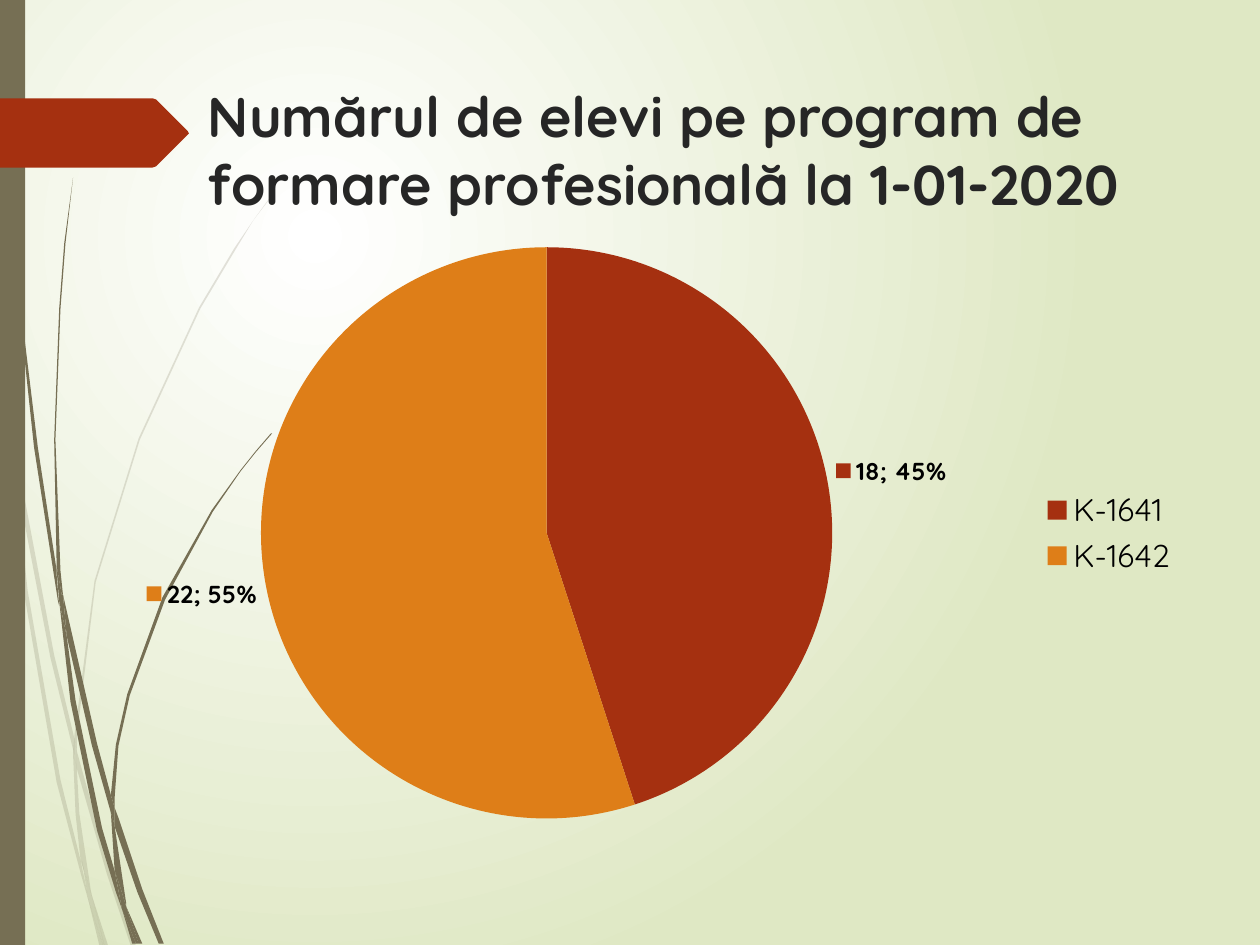
from lxml import etree
from pptx import Presentation
from pptx.chart.data import CategoryChartData
from pptx.dml.color import RGBColor
from pptx.enum.chart import XL_CHART_TYPE as ChartType
from pptx.enum.chart import XL_LABEL_POSITION as LabelPosition
from pptx.enum.chart import XL_LEGEND_POSITION as LegendPosition
from pptx.enum.shapes import MSO_SHAPE as Shape
from pptx.enum.text import MSO_ANCHOR as Anchor
from pptx.enum.text import MSO_AUTO_SIZE as AutoSize
from pptx.enum.text import PP_ALIGN as Align
from pptx.oxml.ns import qn
from pptx.util import Inches, Pt

OLIVE, RUST, ORANGE = "766F54", "A53010", "DE7E18"

# Outlines as x y pairs in inches
PALE_WISPS = [
    "0.08 3.5 0.06 3.22 0 2.82 0 2.99 0.07 3.44",
    "0.4 5.22 0.59 5.99 0.59 5.86 0.43 5.2 0.1 3.45 0.12 3.76",
    "0.64 6.07 0.61 5.96 0.61 6.1 0.85 6.94 1.04 7.51 1.08 7.51 0.88 6.92",
    "0.83 7.51 0.86 7.51 0.73 7.11",
    "0.64 6.83 0.48 6.19 0.22 4.69 0.12 3.76 0.08 3.5 0.19 4.7 0.45 6.21 0.64 6.93 0.7 7.14 0.69 7.07",
    "0.58 5.99 0.6 6.46 0.64 6.83 0.67 6.92 0.73 7.11 0.72 7.06 0.63 6.46 0.61 6.1 0.61 6.08",
    "0.61 5.84 0.76 4.62 1.11 3.49 1.59 2.45 1.87 1.98 2.01 1.75 2.17 1.54 2.17 1.53 2.01 1.75 "
    "1.86 1.97 1.58 2.44 1.1 3.48 0.75 4.61 0.59 5.84 0.59 5.86 0.61 5.96",
    "0.7 7.14 0.79 7.51 0.82 7.51",
    "0.61 6.08 0.61 6.1 0.61 5.96 0.59 5.86 0.58 5.99",
    "0.67 6.92 0.65 6.83 0.69 7.07 0.7 7.14 0.82 7.51 0.83 7.51 0.73 7.11",
]
DARK_WISPS = [
    "0.05 1.1 0.14 2.33 0.27 3.55 0.46 4.77 0.47 4.81 0.45 4.57 0.45 4.53 0.3 3.55 0.15 2.32 "
    "0.06 1.09 0.04 0.48 0.03 0 0.02 0 0.03 0.48",
    "0.73 5.92 0.88 6.45 0.88 6.33 0.88 6.31 0.77 5.9 0.5 4.72 0.53 5.05",
    "0.94 6.49 0.91 6.41 0.91 6.56 1.09 7.08 1.26 7.49 1.3 7.49 1.13 7.06",
    "0.91 6.91 0.81 6.57 0.6 5.56 0.53 5.05 0.47 4.77 0.56 5.57 0.77 6.59 0.92 7.08 0.97 7.22 0.96 7.17",
    "0.5 4.72 0.48 4.53 0.44 3.49 0.48 2.45 0.52 1.93 0.58 1.41 0.51 1.93 0.47 2.45 0.43 3.49 "
    "0.45 4.49 0.49 4.72",
    "1.1 7.49 1.13 7.49 1 7.19",
    "0.47 4.77 0.53 5.05 0.5 4.72 0.49 4.72 0.45 4.49 0.45 4.53",
    "0.91 6.33 0.94 5.92 1.03 5.52 1.31 4.76 1.69 4.06 1.91 3.74 2.03 3.59 2.16 3.44 2.15 3.44 "
    "2.03 3.58 1.91 3.73 1.68 4.05 1.29 4.74 1.01 5.51 0.92 5.91 0.88 6.31 0.91 6.41",
    "0.97 7.22 1.05 7.49 1.08 7.49",
    "0.88 6.45 0.91 6.91 0.96 7.06 1 7.19 1 7.16 0.91 6.56 0.9 6.51",
    "0.88 6.45 0.9 6.51 0.91 6.56 0.91 6.41 0.88 6.31 0.88 6.33",
    "0.96 7.06 0.91 6.91 0.96 7.17 0.97 7.22 1.08 7.49 1.1 7.49 1 7.19",
]
ARROW = "0 0.78 1.21 0.78 1.24 0.79 1.49 1.04 1.5 1.06 1.49 1.07 1.24 1.32 1.21 1.33 0 1.33"


def color(value):
    return RGBColor.from_string(value)


class SlideBuilder:
    font = "Quicksand"

    def __init__(self, slide):
        self.slide = slide
        self.shapes = slide.shapes

    def background(self, inner, outer):
        fill = self.slide.background.fill
        fill.gradient()
        for stop, value, position in zip(fill.gradient_stops, (inner, outer), (0, 1)):
            stop.color.rgb, stop.position = color(value), position
        gradient = self.slide.element.find(".//" + qn("a:gradFill"))
        gradient.remove(gradient.find(qn("a:lin")))
        circle = etree.SubElement(gradient, qn("a:path"), path="circle")
        etree.SubElement(circle, qn("a:fillToRect"), l="50000", t="50000", r="100000", b="100000")

    def style_font(self, font, size, value, bold=False):
        font.name, font.size, font.bold = self.font, Pt(size), bold
        font.color.rgb = color(value)

    def paint(self, shape, value, opacity=100):
        shape.shadow.inherit = False
        shape.fill.solid()
        shape.fill.fore_color.rgb = color(value)
        shape.line.fill.background()
        if opacity < 100:
            tone = shape.element.spPr.find(".//" + qn("a:srgbClr"))
            etree.SubElement(tone, qn("a:alpha"), val=str(opacity * 1000))

    def outline(self, shapes, corners, value, opacity=100):
        lengths = [Inches(float(word)) for word in corners.split()]
        start, *others = zip(lengths[::2], lengths[1::2])
        builder = shapes.build_freeform(*start)
        builder.add_line_segments(others, close=True)
        self.paint(builder.convert_to_shape(), value, opacity)

    def wisps(self, outlines, opacity=100):
        group = self.shapes.add_group_shape()
        for corners in outlines:
            self.outline(group.shapes, corners, OLIVE, opacity)

    def bar(self, left, top, width, height, value):
        box = self.shapes.add_shape(Shape.RECTANGLE, *map(Inches, (left, top, width, height)))
        self.paint(box, value)

    def title(self, text, left, top, width, height):
        box = self.shapes.title
        box.left, box.top, box.width, box.height = map(Inches, (left, top, width, height))
        frame = box.text_frame
        frame.text = text
        frame.word_wrap, frame.auto_size, frame.vertical_anchor = True, AutoSize.NONE, Anchor.TOP
        para = frame.paragraphs[0]
        para.alignment = Align.LEFT
        self.style_font(para.runs[0].font, 32, "262626", bold=True)
        self.shapes.element.append(box.element)  # in front of the wisps

    def pie(self, categories, values, tones, left, top, width, height):
        data = CategoryChartData()
        data.categories = categories
        data.add_series("Series 1", values)
        place = map(Inches, (left, top, width, height))
        chart = self.shapes.add_chart(ChartType.PIE, *place, data).chart
        chart.has_title = False
        self.style_font(chart.font, 18, "000000")
        chart.has_legend = True
        chart.legend.position, chart.legend.include_in_layout = LegendPosition.RIGHT, False
        series = chart.plots[0].series[0]
        for index, tone in enumerate(tones):
            fill = series.points[index].format.fill
            fill.solid()
            fill.fore_color.rgb = color(tone)
        labels = series.data_labels
        labels.show_value = labels.show_percentage = labels.show_legend_key = True
        labels.position = LabelPosition.OUTSIDE_END
        self.style_font(labels.font, 14, "000000", bold=True)
        separator = etree.Element(qn("c:separator"))
        separator.text = "; "
        chart.element.find(".//" + qn("c:ser") + "//" + qn("c:showBubbleSize")).addnext(separator)
        # Fixed place of the pie inside the chart
        area = chart.element.find(".//" + qn("c:plotArea"))
        for old in area.findall(qn("c:layout")):
            area.remove(old)
        layout = etree.Element(qn("c:layout"))
        area.insert(0, layout)
        manual = etree.SubElement(layout, qn("c:manualLayout"))
        for tag, value in (("layoutTarget", "inner"), ("xMode", "edge"), ("yMode", "edge"),
                           ("x", 0.17), ("y", 0.03), ("w", 0.51), ("h", 0.94)):
            etree.SubElement(manual, qn("c:" + tag), val=str(value))


deck = Presentation()
deck.slide_width, deck.slide_height = Inches(10), Inches(7.5)
page = SlideBuilder(deck.slides.add_slide(deck.slide_layouts[5]))

# Backdrop
page.background("FFFFFF", "DFE8C4")
page.wisps(PALE_WISPS, opacity=20)
page.wisps(DARK_WISPS)
page.bar(0, 0, 0.2, 7.5, OLIVE)
page.outline(page.shapes, ARROW, RUST)

# Title and chart
page.title("Numărul de elevi pe program de formare profesională la 1-01-2020", 1.55, 0.6, 7.88, 1.4)
page.pie(["K-1641", "K-1642"], [18, 22], [RUST, ORANGE], 0.56, 1.81, 8.89, 4.84)

deck.save("out.pptx")
